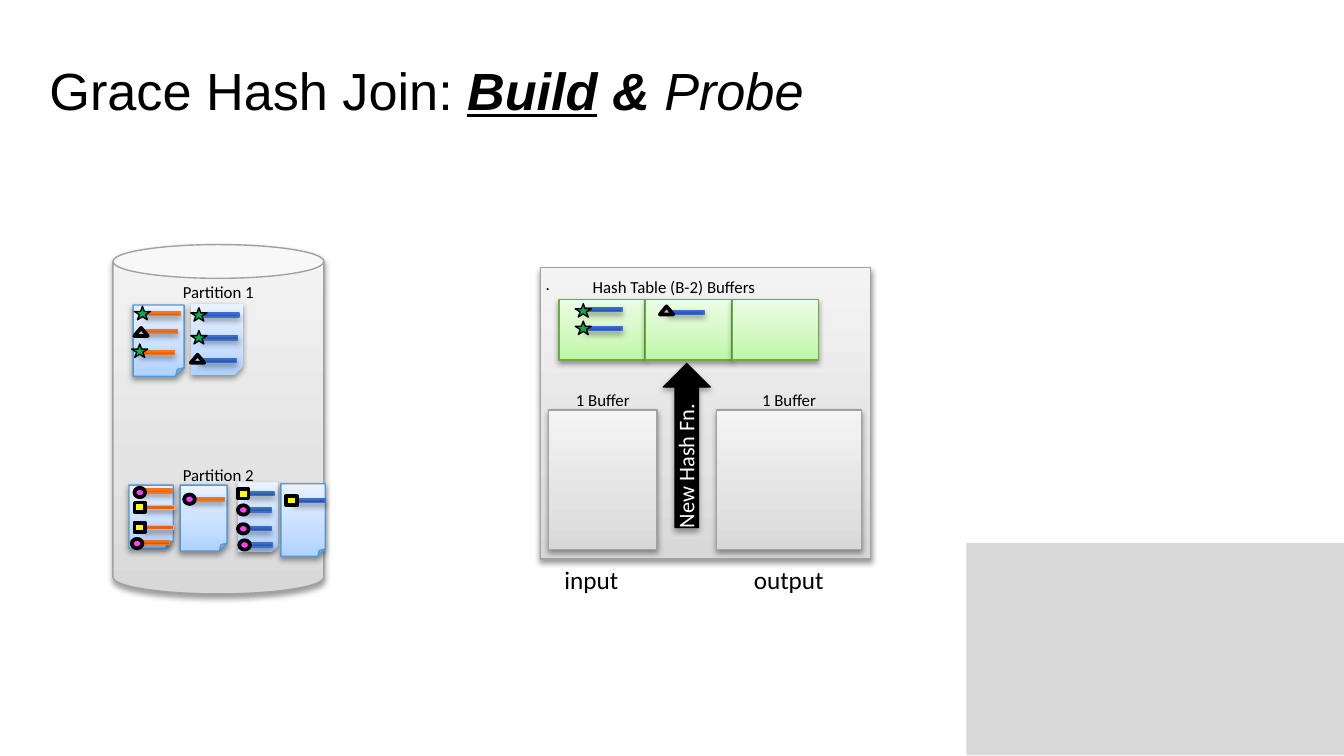
from dataclasses import dataclass
from typing import NamedTuple

from lxml import etree
from pptx import Presentation
from pptx import util as u
from pptx.dml.color import RGBColor
from pptx.enum import shapes, text
from pptx.oxml.ns import qn

Kind = shapes.MSO_SHAPE
Align = text.PP_ALIGN


class Paint(NamedTuple):
    """One fill colour, or three blended from bottom to top, and an outline."""
    fill: tuple
    stops: tuple = ()
    line: str = ""
    width: float = 0.75
    shade: tuple = ()  # opacity %, blur pt, distance pt


SOFT, FIRM = (38, 3, 1.6), (35, 3, 1.8)
BLEND, SHEEN = (0, 35, 100), (0, 80, 100)


@dataclass(frozen=True)
class Theme:
    ink: str = "000000"
    white: str = "FFFFFF"
    head: float = 28
    big: float = 13.5
    mid: float = 12
    small: float = 9
    sans: str = "Arial"
    body: str = "Calibri"
    block: Paint = Paint(("D9D9D9",))
    grey: Paint = Paint(("D8D8D8", "E3E3E3", "F4F4F4"), BLEND, "A1A1A1", shade=SOFT)
    green: Paint = Paint(("BCF6A4", "D0F8BF", "ECFDE5"), BLEND, "6DAC43", shade=SOFT)
    page: Paint = Paint(("AFD2FF", "C6DEFF", "E9F2FF"), BLEND, "5698D3", shade=SOFT)
    black: Paint = Paint(("000000",), line="000000", shade=FIRM)
    orange: Paint = Paint(("C3580F", "FF7416", "FF7517"), SHEEN, "EC792B", shade=FIRM)
    blue: Paint = Paint(("24509E", "2F69D0", "2C69D4"), SHEEN, "3F6EC3", shade=FIRM)
    gold: Paint = Paint(("E16513",), line="FFC000", shade=FIRM)
    star: Paint = Paint(("00B050",), line="000000")
    peak: Paint = Paint(("BFBFBF",), line="000000", width=2)
    dot: Paint = Paint(("FF40FF",), line="000000", width=2)
    box: Paint = Paint(("FFFF00",), line="000000", width=2)


T = Theme()


class Mark(NamedTuple):
    kind: Kind
    paint: Paint
    size: tuple


STAR = Mark(Kind.STAR_5_POINT, T.star, (0.12, 0.1))
PEAK = Mark(Kind.ISOSCELES_TRIANGLE, T.peak, (0.1, 0.06))
DOT = Mark(Kind.OVAL, T.dot, (0.08, 0.07))
BOX = Mark(Kind.RECTANGLE, T.box, (0.08, 0.07))


class Row(NamedTuple):
    """A record: its key mark and the bar behind it, each by left and top."""
    mark: Mark
    at: tuple
    bar: tuple
    paint: Paint


class Sheet(NamedTuple):
    frame: tuple
    fold: bool
    span: float
    rows: tuple


class Note(NamedTuple):
    words: str
    frame: tuple
    size: float = T.small
    align: Align = Align.LEFT
    wrap: bool = True
    ink: str = T.ink
    turn: int = 0


SHEETS = (
    Sheet((0.99, 2.27, 0.38, 0.53), True, 0.26, (
        Row(PEAK, (1, 2.44), (1.06, 2.45), T.orange),
        Row(STAR, (1, 2.28), (1.08, 2.32), T.orange),
        Row(STAR, (0.98, 2.56), (1.04, 2.61), T.orange))),
    Sheet((1.77, 3.59, 0.3, 0.52), False, 0.21, (
        Row(DOT, (1.77, 3.76), (1.81, 3.78), T.blue),
        Row(DOT, (1.77, 3.9), (1.81, 3.92), T.blue),
        Row(BOX, (1.77, 3.64), (1.83, 3.66), T.blue),
        Row(DOT, (1.78, 4.02), (1.82, 4.04), T.blue))),
    Sheet((1.34, 3.61, 0.35, 0.49), True, 0.25, (
        Row(DOT, (1.37, 3.68), (1.42, 3.7), T.orange),)),
    Sheet((0.96, 3.61, 0.33, 0.47), True, 0.23, (
        Row(DOT, (1, 3.63), (1.05, 3.64), T.orange),
        Row(BOX, (1, 3.74), (1.07, 3.76), T.gold),
        Row(DOT, (0.98, 4.01), (1.03, 4.02), T.orange),
        Row(BOX, (1, 3.89), (1.06, 3.91), T.gold))),
    Sheet((1.42, 2.26, 0.39, 0.53), False, 0.27, (
        Row(STAR, (1.42, 2.29), (1.51, 2.33), T.blue),
        Row(PEAK, (1.42, 2.64), (1.49, 2.67), T.blue),
        Row(STAR, (1.42, 2.46), (1.5, 2.5), T.blue))),
    Sheet((2.09, 3.6, 0.33, 0.54), True, 0.23, (
        Row(BOX, (2.13, 3.69), (2.19, 3.71), T.blue),)),
)
HASHED = (
    Row(STAR, (4.28, 2.26), (4.36, 2.29), T.blue),
    Row(STAR, (4.28, 2.39), (4.36, 2.43), T.blue),
    Row(PEAK, (4.91, 2.28), (4.97, 2.31), T.blue),
)
NOTES = (
    Note(".", (4.02, 1.99, 0.3, 0.25)),
    Note("Hash Table (B-2) Buffers", (4.37, 2.01, 1.31, 0.25), wrap=False),
    Note("1 Buffer", (4.08, 2.85, 0.81, 0.23), align=Align.CENTER),
    Note("1 Buffer", (5.33, 2.85, 1.08, 0.23), align=Align.CENTER),
    Note("New Hash Fn.", (4.46, 3.2, 1.26, 0.28), T.mid, ink=T.white, turn=270),
    Note("input", (4.16, 4.15, 0.48, 0.33), T.big, wrap=False),
    Note("output", (5.57, 4.15, 0.6, 0.33), T.big, wrap=False),
    Note("Partition 1", (1.32, 2.05, 0.7, 0.25)),
    Note("Partition 2", (1.32, 3.41, 0.7, 0.25)),
)


def cm(*inches: float) -> list:
    return [u.Cm(2.54 * n) for n in inches]


def coat(shape, paint: Paint, edge: bool = True) -> None:
    """Give a shape its fill, outline and shadow."""
    shape.shadow.inherit = False
    props = shape._element.spPr
    if paint.stops:
        shape.fill.gradient()
        shape.fill.gradient_angle = 90
        ramp = props.find(qn("a:gradFill")).find(qn("a:gsLst"))
        for stop in list(ramp):
            ramp.remove(stop)
        for place, hue in zip(paint.stops, paint.fill):
            stop = etree.SubElement(ramp, qn("a:gs"), pos=str(place * 1000))
            etree.SubElement(stop, qn("a:srgbClr"), val=hue)
    else:
        shape.fill.solid()
        shape.fill.fore_color.rgb = RGBColor.from_string(paint.fill[0])
    if edge and paint.line:
        shape.line.color.rgb = RGBColor.from_string(paint.line)
        shape.line.width = u.Pt(paint.width)
    else:
        shape.line.fill.background()
    if paint.shade:
        dim, blur, far = paint.shade
        cast = etree.SubElement(
            props.find(qn("a:effectLst")), qn("a:outerShdw"), blurRad=str(u.Pt(blur)),
            dist=str(u.Pt(far)), dir="5400000", rotWithShape="0")
        hue = etree.SubElement(cast, qn("a:srgbClr"), val=T.ink)
        etree.SubElement(hue, qn("a:alpha"), val=str(dim * 1000))


def draw(slide, kind: Kind, frame: tuple, paint: Paint):
    shape = slide.shapes.add_shape(kind, *cm(*frame))
    coat(shape, paint)
    return shape


def record(slide, row: Row, span: float) -> None:
    draw(slide, Kind.RECTANGLE, (*row.bar, span, 0.03), row.paint)
    draw(slide, row.mark.kind, (*row.at, *row.mark.size), row.mark.paint)


def sheet(slide, item: Sheet) -> None:
    if item.fold:
        draw(slide, Kind.FOLDED_CORNER, item.frame, T.page)
    else:
        x, y, w, h = item.frame
        cut = w / 6
        form = slide.shapes.build_freeform(*cm(x, y))
        ends = ((x + w, y), (x + w, y + h - cut), (x + w - cut, y + h), (x, y + h))
        form.add_line_segments([cm(*end) for end in ends], close=True)
        coat(form.convert_to_shape(), T.page, edge=False)
    for row in item.rows:
        record(slide, row, item.span)


def pane(slide, frame: tuple, side: float, top: float, wrap: bool):
    area = slide.shapes.add_textbox(*cm(*frame))
    left, head = cm(side, top)
    form = {"margin_left": left, "margin_right": left, "margin_top": head,
            "margin_bottom": head, "word_wrap": wrap}
    for key, value in form.items():
        setattr(area.text_frame, key, value)
    return area


def write(para, words: str, ink: str, **form) -> None:
    run = para.add_run()
    run.text = words
    run.font.color.rgb = RGBColor.from_string(ink)
    for key, value in form.items():
        setattr(run.font, key, value)


def label(slide, note: Note) -> None:
    area = pane(slide, note.frame, 0.04, 0.05, note.wrap)
    area.rotation = note.turn
    para = area.text_frame.paragraphs[0]
    para.alignment = note.align
    write(para, note.words, note.ink, name=T.body, size=u.Pt(note.size))


def title(slide) -> None:
    para = pane(slide, (0.27, 0.34, 8.23, 1.25), 0.1, 0.09, True).text_frame.paragraphs[0]
    strong = {"bold": True, "italic": True}
    parts = (("Grace Hash Join: ", {}), ("Build", {**strong, "underline": True}),
             (" & ", strong), ("Probe", {"italic": True}))
    for words, form in parts:
        write(para, words, T.ink, name=T.sans, size=u.Pt(T.head), **form)


def main() -> None:
    deck = Presentation()
    deck.slide_width, deck.slide_height = cm(10, 5.625)
    slide = deck.slides.add_slide(deck.slide_layouts[6])
    draw(slide, Kind.RECTANGLE, (7.19, 4.04, 2.81, 1.58), T.block)
    title(slide)
    draw(slide, Kind.RECTANGLE, (4.02, 1.99, 2.46, 2.17), T.grey)
    for i in range(3):
        draw(slide, Kind.RECTANGLE, (4.16 + 0.645 * i, 2.23, 0.64, 0.45), T.green)
    for x, w in ((4.08, 0.81), (5.33, 1.08)):
        draw(slide, Kind.RECTANGLE, (x, 3.05, w, 1.04), T.grey)
    draw(slide, Kind.RIGHT_ARROW, (4.5, 3.14, 1.22, 0.35), T.black).rotation = 270
    draw(slide, Kind.CAN, (0.84, 1.82, 1.57, 2.6), T.grey).adjustments[0] = 0.16
    for note in NOTES:
        label(slide, note)
    for item in SHEETS:
        sheet(slide, item)
    for row in HASHED:
        record(slide, row, 0.27)
    deck.save("out.pptx")


if __name__ == "__main__":
    main()
